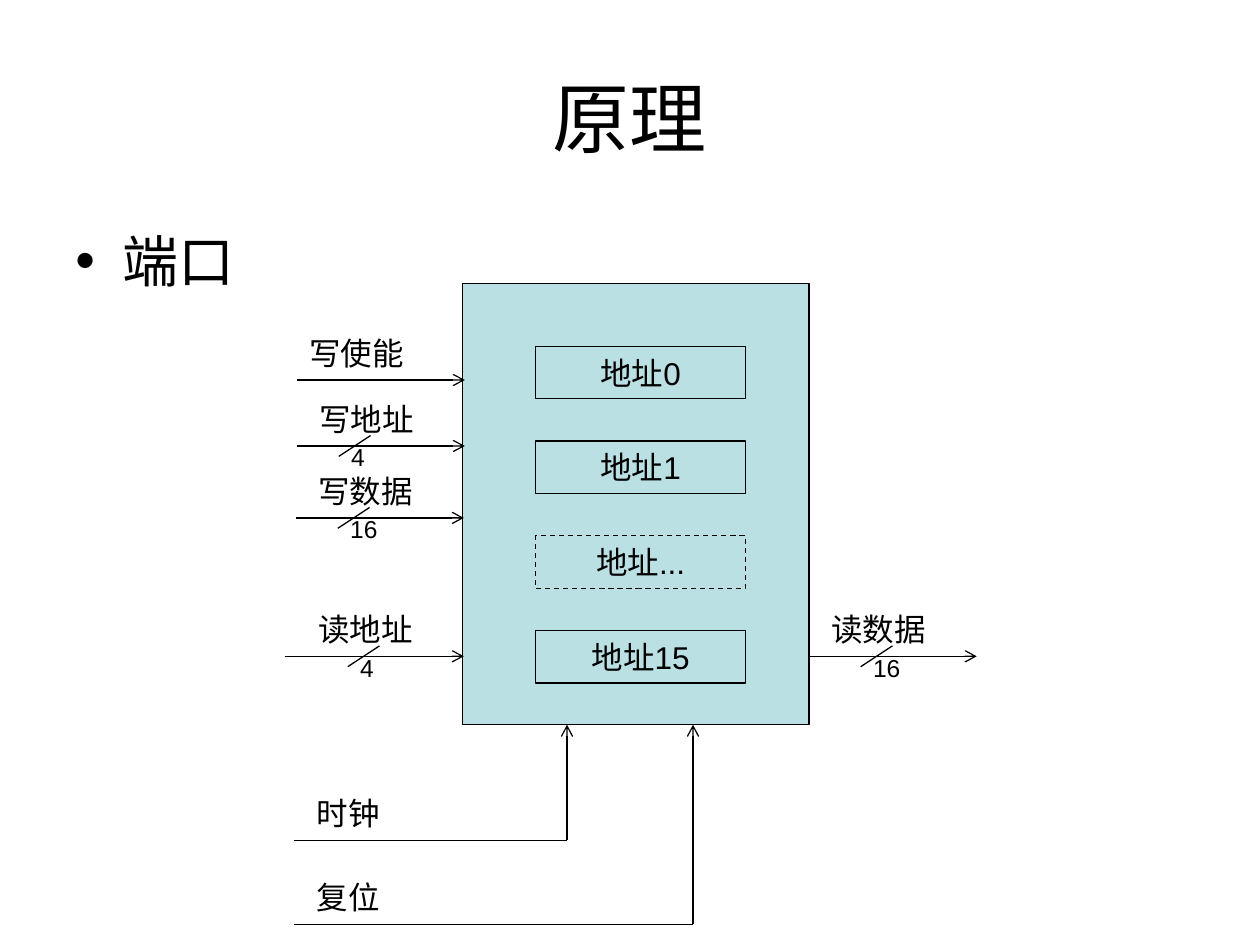
import pptx
import pptx.util
import pptx.dml.color
import pptx.enum.dml
import pptx.enum.shapes
import pptx.enum.text
import pptx.oxml.ns
from lxml import etree

Cm = pptx.util.Cm
Pt = pptx.util.Pt
BLACK = "000000"
PALE_TEAL = "BBE0E3"


def color(hex_string):
    """Return the RGB colour for a hex string."""
    return pptx.dml.color.RGBColor.from_string(hex_string)


def add_xml(parent, tag, **attributes):
    """Append a DrawingML element with the given attributes."""
    return etree.SubElement(parent, pptx.oxml.ns.qn(tag), attributes)


def format_text(paragraph, size):
    """Give a paragraph its font, size and colour."""
    paragraph.font.name = "Arial"
    paragraph.font.size = Pt(size)
    paragraph.font.color.rgb = color(BLACK)


def add_label(slide, left, top, width, height, text, size, wrap=True):
    """Add a left-aligned text box that grows with its text."""
    label = slide.shapes.add_textbox(Cm(left), Cm(top), Cm(width), Cm(height))
    label.text_frame.word_wrap = wrap
    label.text_frame.auto_size = pptx.enum.text.MSO_AUTO_SIZE.SHAPE_TO_FIT_TEXT
    paragraph = label.text_frame.paragraphs[0]
    paragraph.text = text
    format_text(paragraph, size)


def add_wire(slide, x1, y1, x2, y2, arrow=False):
    """Draw a thin black line, with an arrowhead at its end if asked."""
    wire = slide.shapes.add_connector(
        pptx.enum.shapes.MSO_CONNECTOR.STRAIGHT, Cm(x1), Cm(y1), Cm(x2), Cm(y2))
    wire.line.color.rgb = color(BLACK)
    wire.line.width = Pt(0.75)
    if arrow:
        add_xml(wire.line._get_or_add_ln(), "a:tailEnd", type="arrow")
    add_xml(wire._element.spPr, "a:effectLst")


def add_block(slide, left, top, width, height):
    """Draw a pale rectangle with a thin black outline."""
    block = slide.shapes.add_shape(
        pptx.enum.shapes.MSO_SHAPE.RECTANGLE, Cm(left), Cm(top), Cm(width), Cm(height))
    block.shadow.inherit = False
    block.fill.solid()
    block.fill.fore_color.rgb = color(PALE_TEAL)
    block.line.color.rgb = color(BLACK)
    block.line.width = Pt(0.75)
    return block


def add_title(slide, left, top, width, height):
    """Place and format the slide title."""
    title = slide.shapes.title
    title.left, title.top, title.width, title.height = map(Cm, (left, top, width, height))
    title.text_frame.vertical_anchor = pptx.enum.text.MSO_ANCHOR.MIDDLE
    paragraph = title.text_frame.paragraphs[0]
    paragraph.text = "原理"
    paragraph.alignment = pptx.enum.text.PP_ALIGN.CENTER
    format_text(paragraph, 44)


def add_topic(slide, left, top, width, height):
    """Add the bulleted topic line."""
    topic = slide.shapes.add_textbox(Cm(left), Cm(top), Cm(width), Cm(height))
    topic.text_frame.word_wrap = True
    paragraph = topic.text_frame.paragraphs[0]
    paragraph.text = "端口"
    properties = paragraph._p.get_or_add_pPr()
    properties.set("marL", str(Cm(0.95)))
    properties.set("indent", str(-Cm(0.95)))
    add_xml(properties, "a:buFont", typeface="Arial")
    add_xml(properties, "a:buChar", char="•")
    format_text(paragraph, 32)


def add_memory(slide, left, top, width, height):
    """Draw the memory block with its evenly spaced address cells."""
    add_block(slide, left, top, width, height)
    for row, address in enumerate(("0", "1", "...", "15")):
        cell = add_block(slide, left + 1.48, top + 1.27 + row * 1.91, 4.23, 1.06)
        if address == "...":
            cell.line.dash_style = pptx.enum.dml.MSO_LINE.DASH
        cell.text_frame.vertical_anchor = pptx.enum.text.MSO_ANCHOR.MIDDLE
        paragraph = cell.text_frame.paragraphs[0]
        paragraph.text = "地址" + address
        paragraph.alignment = pptx.enum.text.PP_ALIGN.CENTER
        format_text(paragraph, 18)


def add_signals(slide, left, top, width):
    """Draw the horizontal ports, with bus widths, around the memory block."""
    right = left + width
    signals = (
        ("写使能", left - 3.33, left + 0.05, 1.95, 0, None, 0),
        ("写地址", left - 3.33, left + 0.05, 3.28, 0.2, "4", 0.84),
        ("写数据", left - 3.35, left + 0.03, 4.73, 0.2, "16", 0.84),
        ("读地址", left - 3.58, left + 0.03, 7.52, 0.43, "4", 1.27),
        ("读数据", right, right + 3.38, 7.52, 0.2, "16", 1.04),
    )
    for name, start, end, offset, label_shift, bits, slash_shift in signals:
        y = top + offset
        add_wire(slide, start, y, end, y, arrow=True)
        add_label(slide, start + label_shift, y - 1.05, 3.18, 1.02, name, 18)
        if bits:
            slash = start + slash_shift
            add_wire(slide, slash, y + 0.21, slash + 0.64, y - 0.21)
            add_label(slide, slash, y - 0.2, 0.52 + 0.28 * len(bits), 0.86, bits, 14, wrap=False)


def add_controls(slide, left, top, height):
    """Draw the clock and reset lines that enter the memory from below."""
    bottom = top + height
    for name, entry, drop in (("时钟", 2.11, 2.33), ("复位", 4.65, 4.02)):
        y = bottom + drop
        add_wire(slide, left - 3.4, y, left + entry, y)
        add_wire(slide, left + entry, y, left + entry, bottom, arrow=True)
        add_label(slide, left - 3.18, y - 1.05, 3.18, 1.02, name, 18)


def main():
    """Build the slide and save it."""
    presentation = pptx.Presentation()
    presentation.slide_width, presentation.slide_height = Cm(25.4), Cm(19.05)
    slide = presentation.slides.add_slide(presentation.slide_layouts[5])
    left, top, width, height = 9.32, 5.71, 6.99, 8.9
    add_title(slide, 1.27, 0.76, 22.86, 3.18)
    add_topic(slide, 1.27, 4.45, 22.86, 2.54)
    add_memory(slide, left, top, width, height)
    add_signals(slide, left, top, width)
    add_controls(slide, left, top, height)
    presentation.save("out.pptx")


if __name__ == "__main__":
    main()
